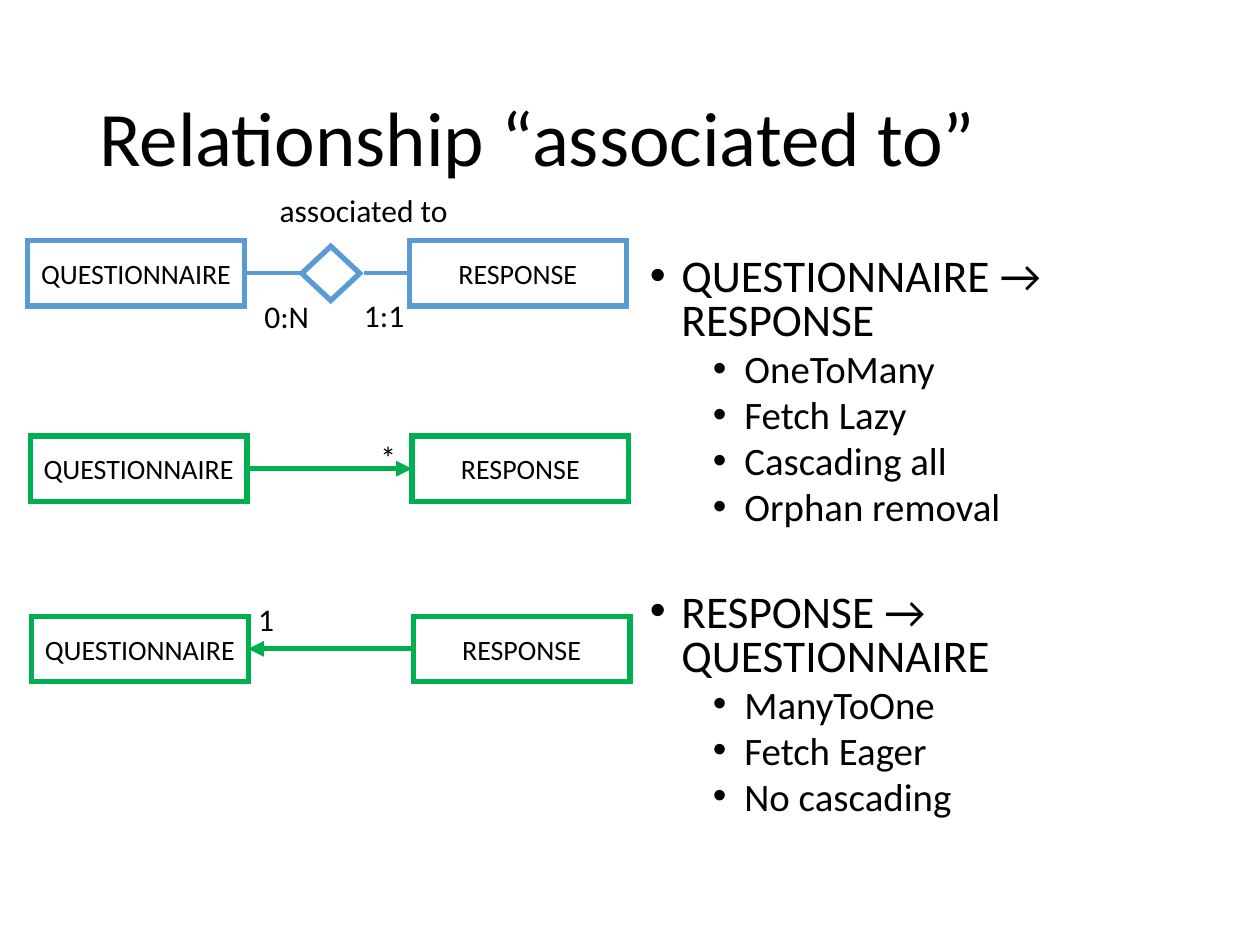
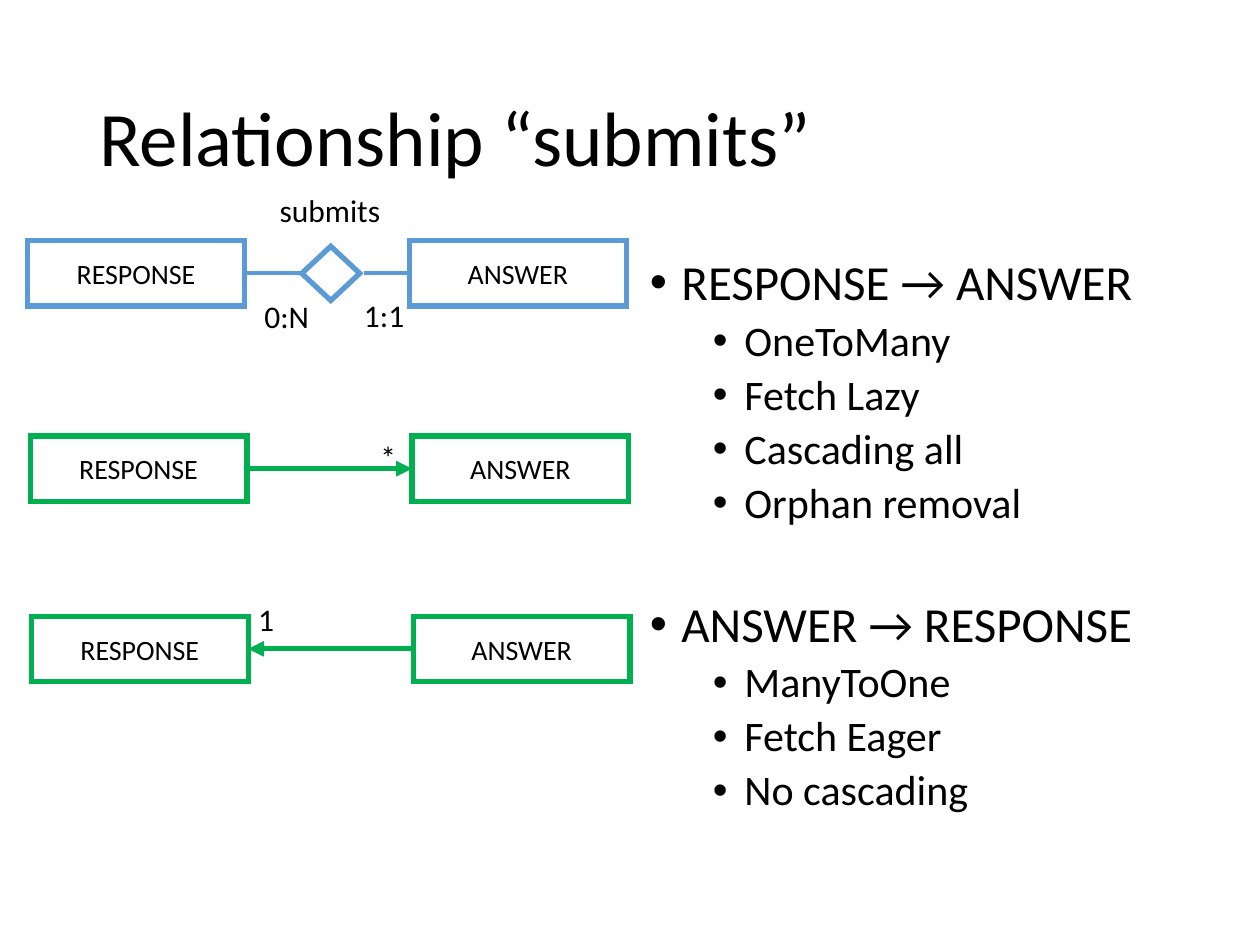
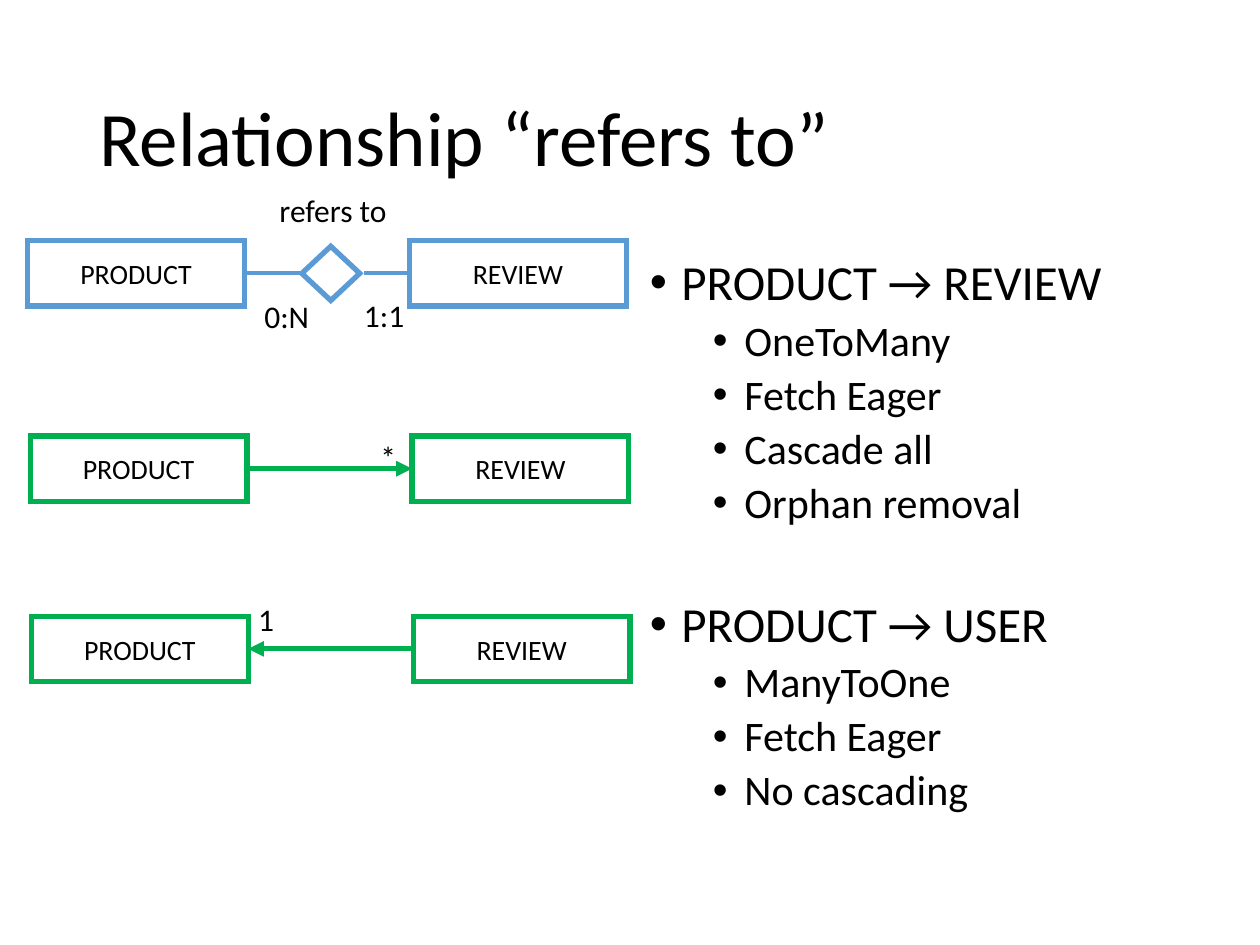
"""Build three slides on how entity relationships map to object links."""
from lxml.etree import SubElement
from pptx import Presentation
from pptx.dml.color import RGBColor
from pptx.enum.shapes import MSO_CONNECTOR, MSO_SHAPE
from pptx.enum.text import MSO_ANCHOR, MSO_AUTO_SIZE, PP_ALIGN
from pptx.oxml.ns import qn
from pptx.util import Inches, Pt

FONT = "Calibri"
BLACK, WHITE, BLUE, GREEN = "000000", "FFFFFF", "5B9BD5", "00B050"
BOX_W, BOX_H, STEP = 1.72, 0.52, 3.03
TAG_H = 0.4
LINE_H = 1.22

MANY = ["OneToMany", "Fetch Lazy", "Cascading all", "Orphan removal"]
ONE = ["ManyToOne", "Fetch Eager", "No cascading"]
SLIDES = [
    dict(verb="associated to", wide=1.55, pair=("QUESTIONNAIRE", "RESPONSE"),
         sizes=(25.9, 22.2), space=0.8,
         notes=[("QUESTIONNAIRE → RESPONSE", MANY),
                ("RESPONSE → QUESTIONNAIRE", ONE)]),
    dict(verb="submits", wide=1.01, pair=("RESPONSE", "ANSWER"),
         sizes=(28, 24), space=0.9,
         notes=[("RESPONSE → ANSWER", MANY), ("ANSWER → RESPONSE", ONE)]),
    dict(verb="refers to", wide=1.06, pair=("PRODUCT", "REVIEW"),
         sizes=(28, 24), space=0.9,
         notes=[("PRODUCT → REVIEW",
                 ["OneToMany", "Fetch Eager", "Cascade all", "Orphan removal"]),
                ("PRODUCT → USER", ONE)]),
]
TAGS = [("1:1", 2.79, 2.3, 0.53), ("0:N", 2, 2.31, 0.56),
        ("*", 2.92, 3.43, 0.33), ("1", 1.95, 4.71, 0.33)]


def tint(code):
    return RGBColor.from_string(code)


def style(para, size, space=None):
    para.font.name, para.font.size = FONT, Pt(size)
    para.font.color.rgb = tint(BLACK)
    para.line_spacing = space


def stroke(item, color, width):
    item.line.color.rgb, item.line.width = tint(color), Pt(width)
    edge = item.line._get_or_add_ln()
    SubElement(edge, qn("a:miter"), lim="800000")
    return edge


def text(slide, words, x, y, w, h, size, space=None):
    frame = slide.shapes.add_textbox(*map(Inches, (x, y, w, h))).text_frame
    frame.text = words
    style(frame.paragraphs[0], size, space)
    return frame


def tag(slide, words, x, y, w):
    frame = text(slide, words, x, y, w, TAG_H, 18)
    frame.word_wrap = False
    frame.auto_size = MSO_AUTO_SIZE.SHAPE_TO_FIT_TEXT


def shape(slide, kind, x, y, w, h, color, fill=None):
    item = slide.shapes.add_shape(kind, *map(Inches, (x, y, w, h)))
    item.shadow.inherit = False
    if fill:
        item.fill.solid()
        item.fill.fore_color.rgb = tint(fill)
    else:
        item.fill.background()
    stroke(item, color, 3)
    return item


def boxes(slide, pair, x, y, color, fill=None):
    for col, name in enumerate(pair):
        item = shape(slide, MSO_SHAPE.RECTANGLE, x + col * STEP, y,
                     BOX_W, BOX_H, color, fill)
        frame = item.text_frame
        frame.text = name
        frame.vertical_anchor = MSO_ANCHOR.MIDDLE
        frame.paragraphs[0].alignment = PP_ALIGN.CENTER
        style(frame.paragraphs[0], 16)
    return x + BOX_W, x + STEP, y + BOX_H / 2


def link(slide, start, end, y, color, width, arrow=False):
    item = slide.shapes.add_connector(
        MSO_CONNECTOR.STRAIGHT, *map(Inches, (start, y, end, y)))
    edge = stroke(item, color, width)
    if arrow:
        SubElement(edge, qn("a:tailEnd"), type="triangle")
    SubElement(item._element.spPr, qn("a:effectLst"))


def bullet(para, words, level, size, space, gap):
    para.text, para.level = words, level
    style(para, size, space)
    para.space_before = Pt(gap)
    props = para._p.get_or_add_pPr()
    props.set("marL", str(Inches(0.25 + level * 0.5)))
    props.set("indent", str(Inches(-0.25)))
    SubElement(props, qn("a:buFont"), typeface="Arial")
    SubElement(props, qn("a:buChar"), char="•")


def outline(slide, notes, sizes, space):
    frame = slide.shapes.add_textbox(*map(Inches, (5.06, 2, 4.25, 4.76))).text_frame
    frame.word_wrap = True
    big, small = sizes
    rows = []
    for part, (head, items) in enumerate(notes):
        skip = part * (5 + small * LINE_H * space)
        rows.append((head, 0, big, space, round(10 + skip, 1)))
        rows += [(item, 1, small, space, 5) for item in items]
    for num, row in enumerate(rows):
        para = frame.add_paragraph() if num else frame.paragraphs[0]
        bullet(para, *row)


def build(slide, verb, wide, pair, sizes, space, notes):
    title = text(slide, f"Relationship “{verb}”", 0.69, 0.4, 8.62, 1.45, 44, 0.9)
    title.word_wrap = True
    title.vertical_anchor = MSO_ANCHOR.MIDDLE
    outline(slide, notes, sizes, space)

    left, right, mid = boxes(slide, pair, 0.22, 1.91, BLUE, WHITE)
    gem = shape(slide, MSO_SHAPE.DIAMOND, 2.41, 1.94, 0.43, 0.46, BLUE, WHITE)
    gem.rotation = 90
    link(slide, right, 2.89, mid, BLUE, 2.25)
    link(slide, 2.4, left, mid, BLUE, 2.25)

    left, right, mid = boxes(slide, pair, 0.24, 3.46, GREEN)
    link(slide, left, right, mid, GREEN, 3, True)
    left, right, mid = boxes(slide, pair, 0.25, 4.89, GREEN)
    link(slide, right, left, mid, GREEN, 3, True)

    for label in [(verb, 2.12, 1.47, wide)] + TAGS:
        tag(slide, *label)


def main():
    deck = Presentation()
    deck.slide_width, deck.slide_height = Inches(10), Inches(7.5)
    for page in SLIDES:
        build(deck.slides.add_slide(deck.slide_layouts[6]), **page)
    deck.save("out.pptx")


if __name__ == "__main__":
    main()
